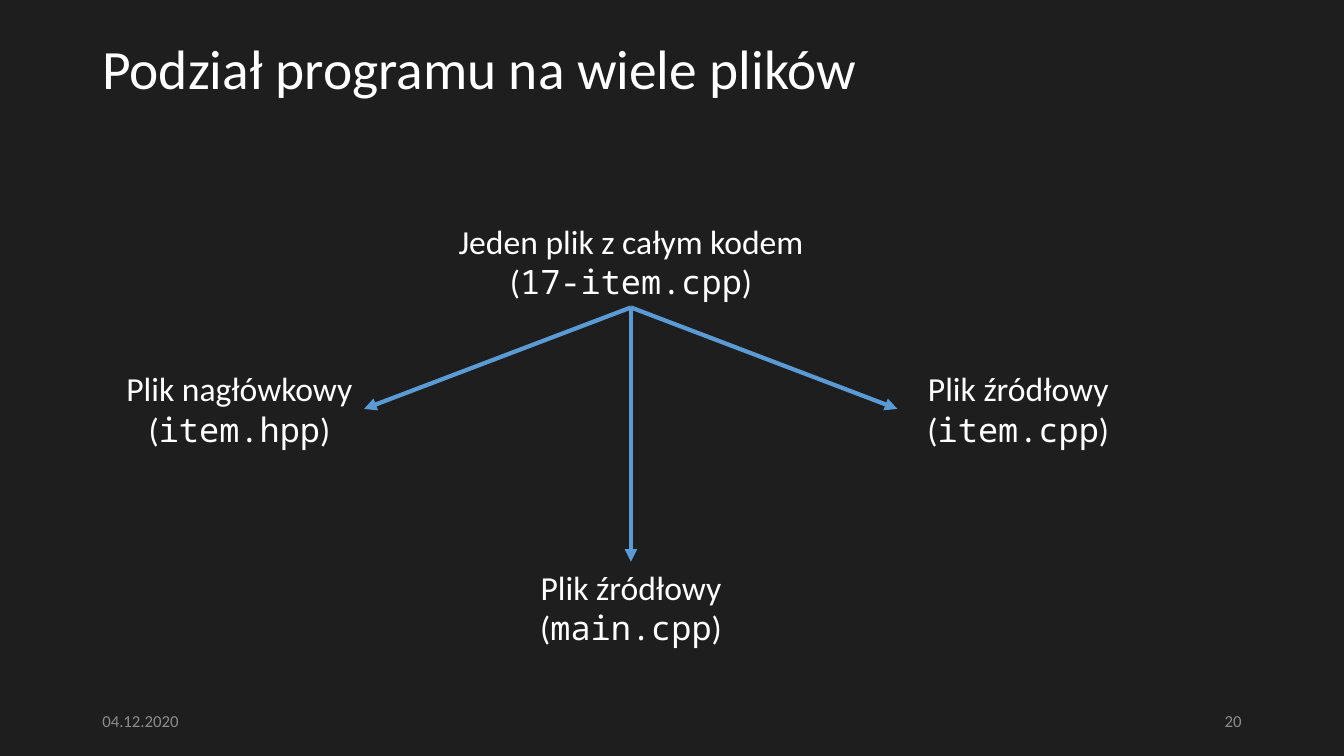
from pptx import Presentation
from pptx.dml.color import RGBColor
from pptx.enum.shapes import MSO_CONNECTOR
from pptx.enum.text import MSO_ANCHOR, PP_ALIGN
from pptx.oxml.ns import qn
from pptx.util import Pt
from lxml import etree

LEFT, CENTER, RIGHT = PP_ALIGN.LEFT, PP_ALIGN.CENTER, PP_ALIGN.RIGHT
TOP, MIDDLE = MSO_ANCHOR.TOP, MSO_ANCHOR.MIDDLE
STRAIGHT = MSO_CONNECTOR.STRAIGHT
SANS, MONO = "Calibri", "Noto Sans Mono"


def color(code):
    return RGBColor.from_string(code)


def add_text(box, lines, size, code, align, anchor):
    """Add a text box; each line is a list of (text, font) runs."""
    frame = slide.shapes.add_textbox(*map(Pt, box)).text_frame
    frame.word_wrap = True
    frame.vertical_anchor = anchor
    for i, line in enumerate(lines):
        para = frame.add_paragraph() if i else frame.paragraphs[0]
        para.alignment = align
        for text, font in line:
            run = para.add_run()
            run.text = text
            run.font.name = font
            run.font.size = Pt(size)
            run.font.color.rgb = color(code)
    return frame


deck = Presentation()
deck.slide_width, deck.slide_height = Pt(960), Pt(540)
slide = deck.slides.add_slide(deck.slide_layouts[6])
slide.background.fill.solid()
slide.background.fill.fore_color.rgb = color("1E1E1E")

# Title
title = add_text((66, 28.8, 828, 44.6), [[("Podział programu na wiele plików", SANS)]],
                 39.6, "FFFFFF", LEFT, MIDDLE)
title.paragraphs[0].line_spacing = 0.9

# Date and slide number
for text, left, align in (("04.12.2020", 66, LEFT), ("20", 678, RIGHT)):
    add_text((left, 500.5, 216, 28.8), [[(text, SANS)]], 12, "8C8C8C", align, MIDDLE)

# Files: label, name, left, top, width
high = 65.4
files = [
    ("Jeden plik z całym kodem", "17-item.cpp", 246.7, 154.2, 408),
    ("Plik nagłówkowy", "item.hpp", 82, 259.4, 178),
    ("Plik źródłowy", "item.cpp", 641, 259.4, 172.8),
    ("Plik źródłowy", "main.cpp", 348.7, 401.2, 204),
]
for label, name, left, top, width in files:
    lines = [[(label, SANS)], [("(", SANS), (name, MONO), (")", SANS)]]
    add_text((left, top, width, high), lines, 24, "FFFFFF", CENTER, TOP)

# Arrows from the whole file to its parts
root, head, body, main = files
mid = root[2] + root[4] / 2
ends = [
    (head[2] + head[4], head[3] + high / 2),
    (mid, main[3]),
    (body[2], body[3] + high / 2),
]
for x, y in ends:
    arrow = slide.shapes.add_connector(STRAIGHT, Pt(mid), Pt(root[3] + high), Pt(x), Pt(y))
    arrow.line.color.rgb = color("5B9BD5")
    arrow.line.width = Pt(3)
    etree.SubElement(arrow.line._get_or_add_ln(), qn("a:tailEnd"), type="triangle")
    etree.SubElement(arrow._element.spPr, qn("a:effectLst"))

deck.save("out.pptx")
